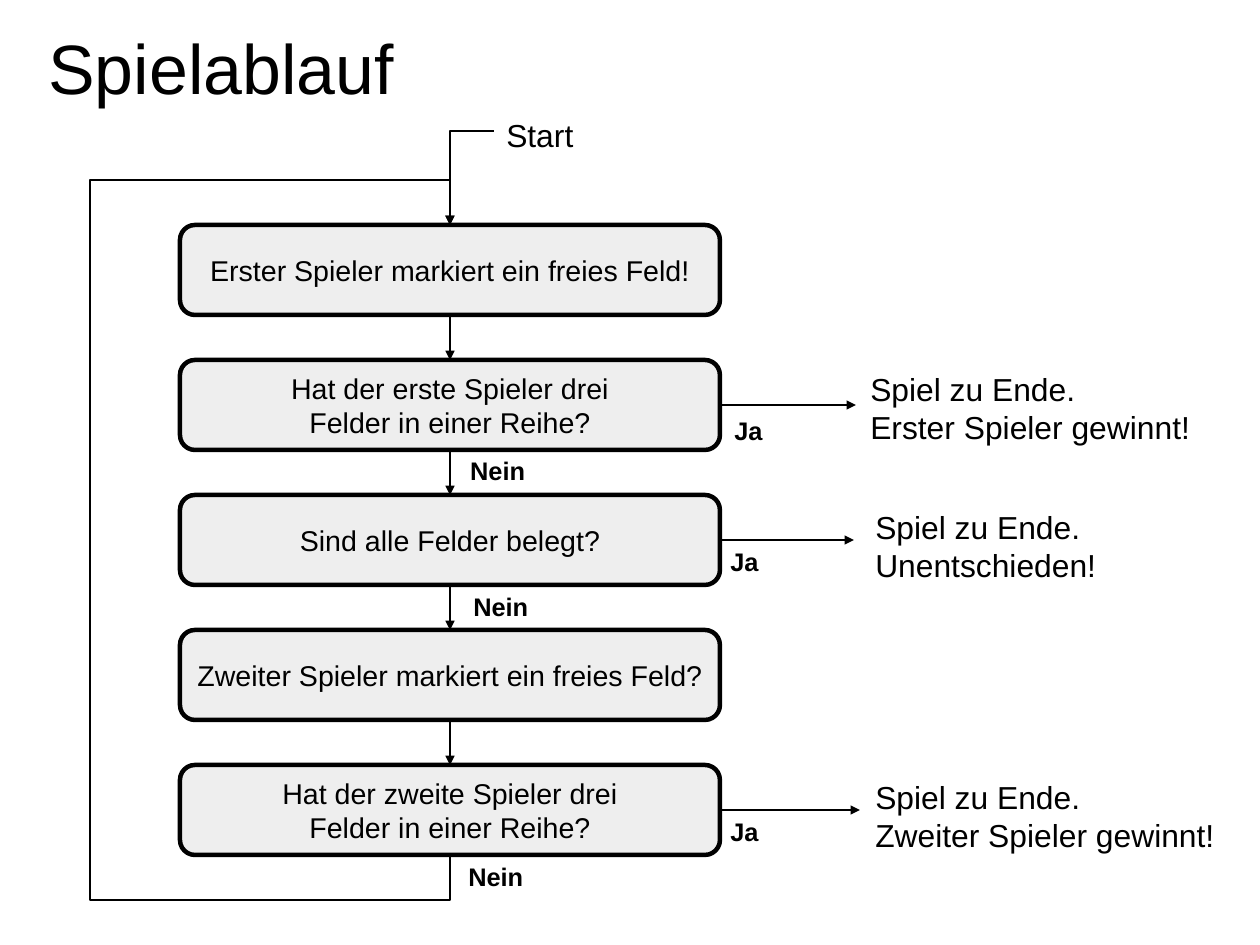
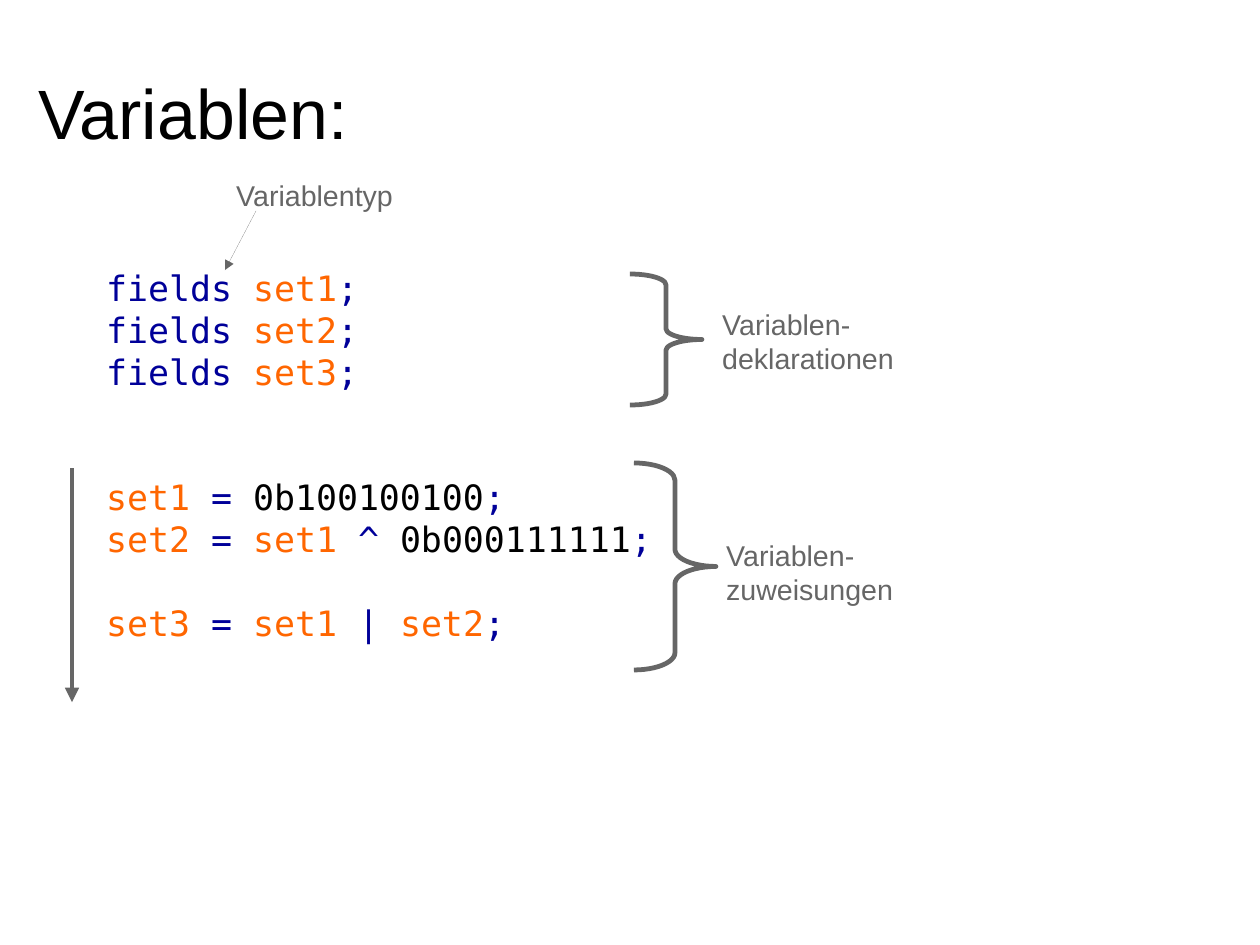
"""Build two slides: the flow of a game and the use of variables."""
from lxml.etree import SubElement
from pptx import Presentation
from pptx.dml.color import RGBColor
from pptx.enum.shapes import MSO_CONNECTOR, MSO_SHAPE
from pptx.enum.text import MSO_ANCHOR, MSO_AUTO_SIZE, PP_ALIGN
from pptx.oxml.ns import qn
from pptx.util import Pt

PX = 8000
WIDE, HIGH = 1260, 945
BLACK = RGBColor(0x00, 0x00, 0x00)
PALE = RGBColor(0xEE, 0xEE, 0xEE)
GREY = RGBColor(0x66, 0x66, 0x66)
NAVY = RGBColor(0x00, 0x00, 0x99)
FLAME = RGBColor(0xFF, 0x66, 0x00)
SANS, MONO = "Arial", "DejaVu Sans Mono"
HAIR = 0.01

LEFT, TOP, BOX_W, BOX_H, PITCH = 180, 225, 540, 90, 135
MID = LEFT + BOX_W // 2
RIGHT = LEFT + BOX_W
STEPS = [
    ["Erster Spieler markiert ein freies Feld!"],
    ["Hat der erste Spieler drei", "Felder in einer Reihe?"],
    ["Sind alle Felder belegt?"],
    ["Zweiter Spieler markiert ein freies Feld?"],
    ["Hat der zweite Spieler drei", "Felder in einer Reihe?"],
]
EXITS = [
    (1, 856, 1.5, (859, 364), (723, 409), "Erster Spieler gewinnt!"),
    (2, 854, 1.5, (864, 502), (719, 540), "Unentschieden!"),
    (4, 860, 1, (864, 772), (719, 810), "Zweiter Spieler gewinnt!"),
]
NOES = [(459, 449), (462, 585), (457, 855)]
START = [(494, 131), (MID, 131), (MID, TOP)]
LOOP = [(MID, 855), (MID, 900), (90, 900), (90, 180), (MID, 180), (MID, TOP)]

CODE = [
    (0, [("fields ", NAVY), ("set1", FLAME), (";", NAVY)]),
    (0, [("fields ", NAVY), ("set2", FLAME), (";", NAVY)]),
    (0, [("fields ", NAVY), ("set3", FLAME), (";", NAVY)]),
    (2, [("set1 ", FLAME), ("=", NAVY), (" 0b100100100", BLACK), (";", NAVY)]),
    (0, [("set2 ", FLAME), ("= ", NAVY), ("set1 ", FLAME), ("^", NAVY),
         (" 0b000111111", BLACK), (";", NAVY)]),
    (1, [("set3 ", FLAME), ("= ", NAVY), ("set1 ", FLAME), ("| ", NAVY),
         ("set2", FLAME), (";", NAVY)]),
]
CODE_GAP = Pt(26.3)
BRACES = [
    ((630, 274, 72, 131), 0.15, (711, 301), "Variablen-\ndeklarationen"),
    ((634, 463, 82, 207), 0.21, (715, 532), "Variablen-\nzuweisungen"),
]


def scale(*nums):
    return [round(num * PX) for num in nums]


def add_run(par, text, size, color=BLACK, bold=False, face=SANS):
    run = par.add_run()
    run.text = text
    font = run.font
    font.size, font.bold, font.name = Pt(size), bold, face
    font.color.rgb = color


def set_frame(frame, anchor=MSO_ANCHOR.TOP):
    frame.auto_size = MSO_AUTO_SIZE.NONE
    frame.word_wrap = True
    frame.vertical_anchor = anchor


def write(frame, lines, size, color=BLACK, bold=False, align=PP_ALIGN.LEFT):
    for num, line in enumerate(lines):
        par = frame.add_paragraph() if num else frame.paragraphs[0]
        par.alignment = align
        for row, part in enumerate(line.split("\n")):
            if row:
                par.add_line_break()
            add_run(par, part, size, color, bold)


def add_label(slide, area, lines, size, color=BLACK, bold=False):
    frame = slide.shapes.add_textbox(*scale(*area)).text_frame
    set_frame(frame)
    write(frame, lines, size, color, bold)


def add_slide(deck, title, left, top):
    slide = deck.slides.add_slide(deck.slide_layouts[5])
    head = slide.shapes.title
    head.left, head.top, head.width, head.height = scale(left, top, 662, 89)
    set_frame(head.text_frame)
    write(head.text_frame, [title], 44)
    return slide


def set_line(shape, color, width):
    shape.line.color.rgb = color
    shape.line.width = Pt(width)


def add_head(shape):
    line = shape.element.spPr.find(qn("a:ln"))
    SubElement(line, qn("a:tailEnd"), type="triangle")


def add_arrow(slide, start, end, color=BLACK, width=1.5):
    line = slide.shapes.add_connector(
        MSO_CONNECTOR.STRAIGHT, *scale(*start, *end))
    set_line(line, color, width)
    add_head(line)
    SubElement(line.element.spPr, qn("a:effectLst"))


def add_route(slide, points):
    pen = slide.shapes.build_freeform(*points[0], scale=PX)
    pen.add_line_segments(points[1:], close=False)
    route = pen.convert_to_shape()
    route.shadow.inherit = False
    route.fill.background()
    set_line(route, BLACK, 1.5)
    add_head(route)


def add_box(slide, top, lines):
    box = slide.shapes.add_shape(
        MSO_SHAPE.ROUNDED_RECTANGLE, *scale(LEFT, top, BOX_W, BOX_H))
    box.shadow.inherit = False
    box.fill.solid()
    box.fill.fore_color.rgb = PALE
    set_line(box, BLACK, 2.83)
    frame = box.text_frame
    set_frame(frame, MSO_ANCHOR.MIDDLE)
    frame.margin_left, frame.margin_right = scale(8, 8)
    write(frame, lines, 18, align=PP_ALIGN.CENTER)


def add_brace(slide, area, curve):
    brace = slide.shapes.add_shape(MSO_SHAPE.RIGHT_BRACE, *scale(*area))
    brace.adjustments[0] = curve
    brace.shadow.inherit = False
    brace.fill.background()
    set_line(brace, GREY, 3)


def build_flow(deck):
    slide = add_slide(deck, "Spielablauf", 37, 19)
    for num, lines in enumerate(STEPS):
        top = TOP + num * PITCH
        add_box(slide, top, lines)
        if num:
            add_arrow(slide, (MID, top - PITCH + BOX_H), (MID, top))
    add_route(slide, LOOP)
    add_route(slide, START)
    for num, end, width, note, yes, result in EXITS:
        mid = TOP + num * PITCH + BOX_H // 2
        add_arrow(slide, (RIGHT, mid), (end, mid), width=width)
        add_label(slide, (*note, 375, 83), ["Spiel zu Ende.", result], 20)
        add_label(slide, (*yes, 60, 40), ["Ja"], 16, bold=True)
    for spot in NOES:
        add_label(slide, (*spot, 85, 40), ["Nein"], 16, bold=True)
    add_label(slide, (495, 110, 95, 46), ["Start"], 20)


def build_code(deck):
    slide = add_slide(deck, "Variablen:", 27, 64)
    frame = slide.shapes.add_textbox(*scale(95, 261, 806, 437)).text_frame
    set_frame(frame)
    for num, (gap, runs) in enumerate(CODE):
        par = frame.add_paragraph() if num else frame.paragraphs[0]
        par.space_before = gap * CODE_GAP
        for text, color in runs:
            add_run(par, text, 22, color, face=MONO)
    add_arrow(slide, (256, 211), (225, 270), GREY, HAIR)
    add_label(slide, (225, 172, 190, 43), ["Variablentyp"], 18, GREY)
    for area, curve, spot, label in BRACES:
        add_brace(slide, area, curve)
        add_label(slide, (*spot, 205, 75), [label], 18, GREY)
    add_arrow(slide, (72, 468), (72, 702), GREY, 3)


def main():
    deck = Presentation()
    deck.slide_width, deck.slide_height = scale(WIDE, HIGH)
    build_flow(deck)
    build_code(deck)
    deck.save("out.pptx")


if __name__ == "__main__":
    main()
